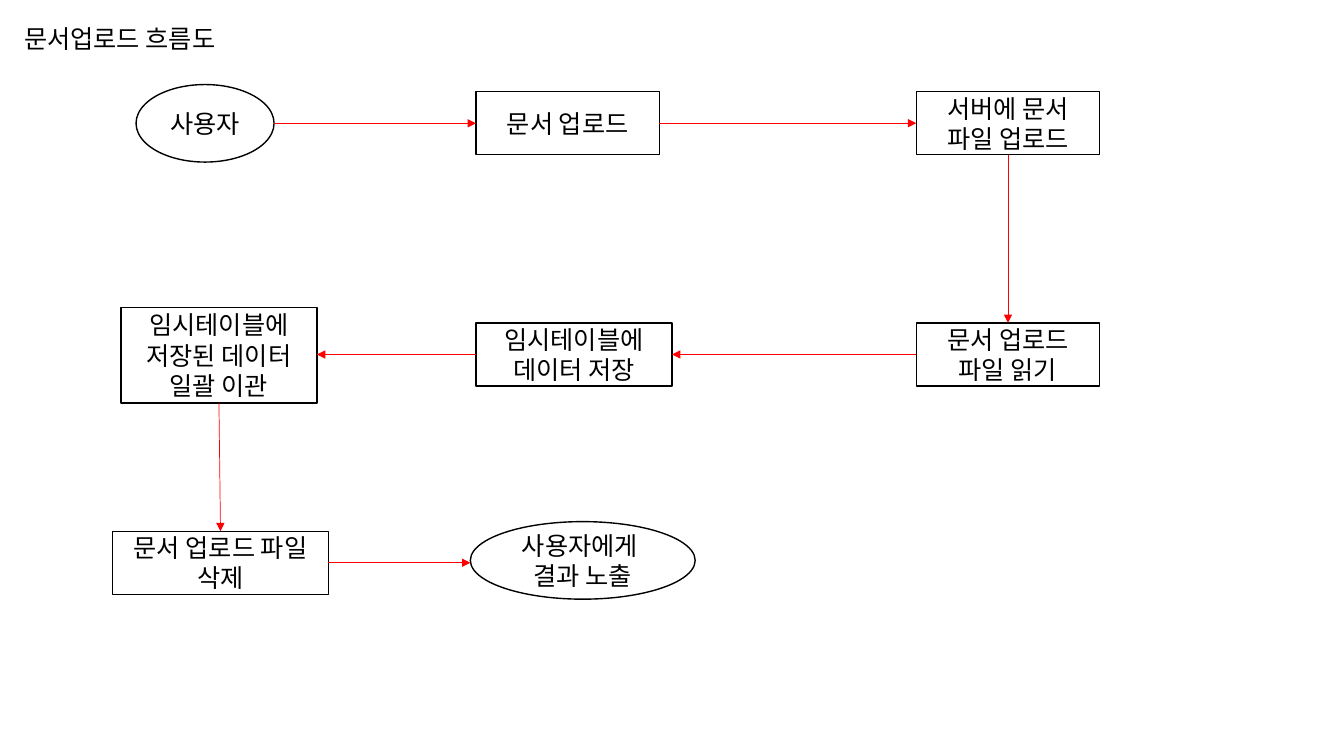
from lxml import etree
from pptx import Presentation
from pptx import util as u
from pptx.dml.color import RGBColor
from pptx.enum import shapes, text
from pptx.oxml import ns

RECT = shapes.MSO_SHAPE.RECTANGLE
OVAL = shapes.MSO_SHAPE.OVAL


def color(value):
    return RGBColor.from_string(value)


class FlowSlide:
    FONT, SIZE = "Noto Sans CJK KR", 18
    INK, ARROW = "000000", "FF0000"

    def __init__(self, prs):
        self.s = prs.slides.add_slide(prs.slide_layouts[5])

    def style(self, tf, align, anchor):
        tf.word_wrap = True
        tf.vertical_anchor = anchor
        for p in tf.paragraphs:
            p.alignment = align
            for r in p.runs:
                r.font.size = u.Pt(self.SIZE)
                r.font.name = self.FONT
                r.font.color.rgb = color(self.INK)
                ea = etree.SubElement(r.font._element, ns.qn("a:ea"))
                ea.set("typeface", self.FONT)

    def title(self, label, x, y, w, h):
        sp = self.s.shapes.title
        sp.left, sp.top, sp.width, sp.height = map(u.Pt, (x, y, w, h))
        sp.text_frame.text = label
        sp.text_frame.auto_size = text.MSO_AUTO_SIZE.NONE
        self.style(sp.text_frame, text.PP_ALIGN.LEFT, text.MSO_ANCHOR.TOP)

    def node(self, kind, label, x, y, w, h):
        sp = self.s.shapes.add_shape(kind, *map(u.Pt, (x, y, w, h)))
        sp.shadow.inherit = False
        sp.fill.background()
        sp.line.color.rgb = color(self.INK)
        sp.line.width = u.Pt(1)
        sp.text_frame.text = label
        self.style(sp.text_frame, text.PP_ALIGN.CENTER, text.MSO_ANCHOR.MIDDLE)
        return sp

    def side(self, sp, name):
        """Middle of one side of a node."""
        mid_x, mid_y = sp.left + sp.width // 2, sp.top + sp.height // 2
        return {"left": (sp.left, mid_y), "right": (sp.left + sp.width, mid_y),
                "top": (mid_x, sp.top), "bottom": (mid_x, sp.top + sp.height)}[name]

    def arrow(self, start, start_side, end, end_side):
        x1, y1 = self.side(start, start_side)
        x2, y2 = self.side(end, end_side)
        if start_side in ("left", "right"):  # sideways arrows stay level
            y2 = y1
        c = self.s.shapes.add_connector(
            shapes.MSO_CONNECTOR.STRAIGHT, x1, y1, x2, y2)
        c.line.color.rgb = color(self.ARROW)
        c.line.width = u.Pt(0.5)
        tail = etree.SubElement(c.line._get_or_add_ln(), ns.qn("a:tailEnd"))
        tail.set("type", "triangle")
        etree.SubElement(c._element.spPr, ns.qn("a:effectLst"))


def main():
    prs = Presentation()
    prs.slide_width, prs.slide_height = u.Pt(960), u.Pt(540)
    flow = FlowSlide(prs)
    flow.title("문서업로드 흐름도", 10, 13, 166, 29)

    # Top row: upload
    user = flow.node(OVAL, "사용자", 97.2, 60.4, 98.6, 55.4)
    upload = flow.node(RECT, "문서 업로드", 340, 65.5, 131, 45)
    server = flow.node(RECT, "서버에 문서 파일 업로드", 654.5, 65.5, 131, 45)

    # Middle row: reading and storing, right to left
    read = flow.node(RECT, "문서 업로드 파일 읽기", 654.5, 230.7, 131, 45)
    store = flow.node(RECT, "임시테이블에 데이터 저장", 340, 230.7, 140, 45)
    move = flow.node(RECT, "임시테이블에 저장된 데이터 일괄 이관", 86.4, 219.6, 140, 68.2)

    # Bottom row: clean-up and result
    delete = flow.node(RECT, "문서 업로드 파일 삭제", 80.4, 379.5, 154.2, 45)
    result = flow.node(OVAL, "사용자에게 \n결과 노출", 336, 372.6, 160.6, 55.4)

    # Arrows
    for link in [(user, "right", upload, "left"),
                 (upload, "right", server, "left"),
                 (server, "bottom", read, "top"),
                 (read, "left", store, "right"),
                 (store, "left", move, "right"),
                 (move, "bottom", delete, "top"),
                 (delete, "right", result, "left")]:
        flow.arrow(*link)

    prs.save("out.pptx")


if __name__ == "__main__":
    main()
